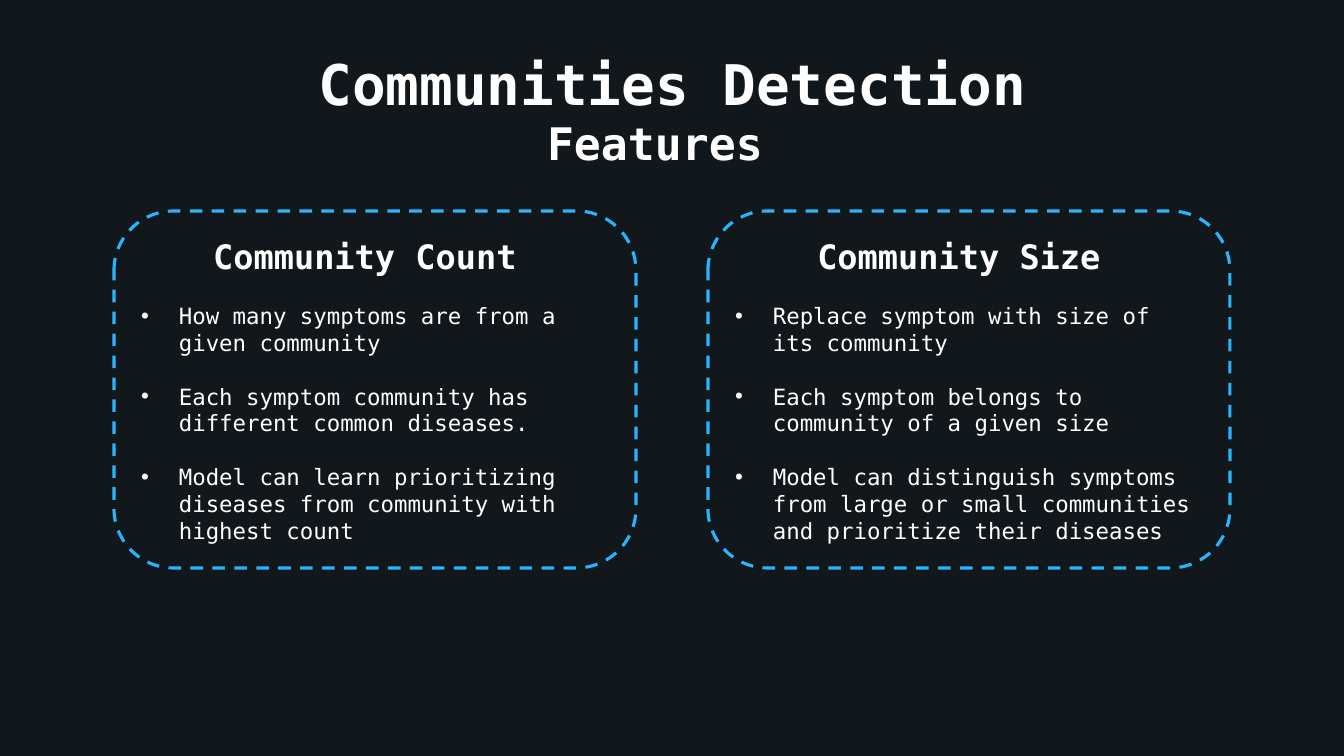
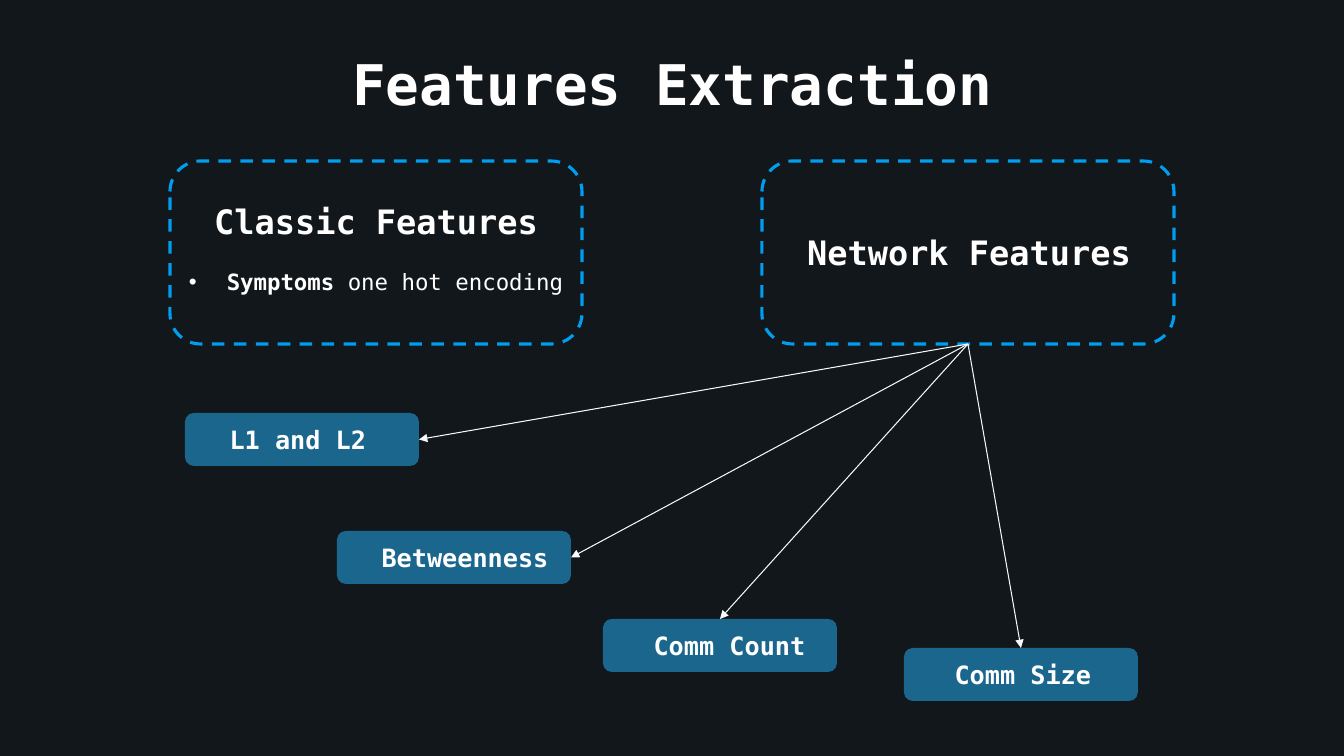
import lxml.etree
import pptx
import pptx.dml.color
import pptx.enum.dml
import pptx.enum.shapes
import pptx.enum.text
import pptx.oxml.ns
import pptx.util

# Shared look
PX = 914400 / 100.8
FONT = "DejaVu Sans Mono"
COLORS = {
    "ground": "12171B", "text": "FFFFFF", "arrow": "F9F9F9",
    "sky": "25B6FF", "azure": "009EEE",
}
TITLE_BOX = (106, 41, 1132, 85)
BULLET_GAP = 19
ALIGN = pptx.enum.text.PP_ALIGN
SHAPE = pptx.enum.shapes.MSO_SHAPE
TOP, BOTTOM, RIGHT = 0, 2, 3  # connection sites of a rounded rectangle

# Content: bullets are (bold lead, plain rest)
SLIDES = [
    {
        "title": "Communities Detection",
        "subtitle": "Features",
        "line": "sky",
        "align": ALIGN.LEFT,
        "cards": [
            {"box": (114, 211, 522, 357), "body": (131, 211, 488, 357),
             "heading": "Community Count ",
             "bullets": [
                 ("", "How many symptoms are from a given community"),
                 ("", "Each symptom community has different common diseases."),
                 ("", "Model can learn prioritizing diseases from community "
                      "with highest count")]},
            {"box": (708, 211, 522, 357), "body": (725, 211, 488, 357),
             "heading": "Community Size ",
             "bullets": [
                 ("", "Replace symptom with size of its community"),
                 ("", "Each symptom belongs to community of a given size"),
                 ("", "Model can distinguish symptoms from large or small "
                      "communities and prioritize their diseases")]},
        ],
    },
    {
        "title": "Features Extraction",
        "line": "azure",
        "align": ALIGN.CENTER,
        "cards": [
            {"box": (170, 161, 412, 183), "body": (149, 190, 454, 116),
             "heading": "Classic Features",
             "bullets": [("Symptoms", " one hot encoding")]},
            {"box": (762, 161, 412, 183), "body": (742, 224, 454, 56),
             "heading": "Network Features", "bullets": []},
        ],
    },
]
SUBTITLE_BOX = (89, 105, 1132, 75)
CHIP_SIZE = (234, 53)
# Network features: label, left, top, text inset, side the arrow reaches
CHIPS = [
    ("L1 and L2", 185, 413, 42, RIGHT),
    ("Betweenness", 337, 531, 42, RIGHT),
    ("Comm Count", 603, 619, 48, TOP),
    ("Comm Size", 904, 648, 48, TOP),
]


def px(n):
    return pptx.util.Emu(round(n * PX))


def rgb(name):
    return pptx.dml.color.RGBColor.from_string(COLORS[name])


def sub(parent, tag, **attrs):
    return lxml.etree.SubElement(parent, pptx.oxml.ns.qn(tag), attrs)


def style(p, size, bold=True, align=ALIGN.CENTER):
    p.alignment = align
    for r in p.runs:
        r.font.name, r.font.size, r.font.bold = FONT, pptx.util.Pt(size), bold
        r.font.color.rgb = rgb("text")


def place(sp, box):
    sp.left, sp.top, sp.width, sp.height = map(px, box)
    tf = sp.text_frame
    tf.word_wrap = True
    tf.auto_size = pptx.enum.text.MSO_AUTO_SIZE.NONE
    tf.vertical_anchor = pptx.enum.text.MSO_ANCHOR.MIDDLE
    return tf


def add_headline(sp, box, text, size):
    tf = place(sp, box)
    tf.margin_top = tf.margin_bottom = px(10)
    tf.text = text
    style(tf.paragraphs[0], size)


def add_card(s, card, line):
    sp = s.shapes.add_shape(SHAPE.ROUNDED_RECTANGLE, *map(px, card["box"]))
    sp.shadow.inherit = False
    sp.fill.background()
    sp.line.color.rgb = rgb(line)
    sp.line.width = pptx.util.Pt(2.25)
    sp.line.dash_style = pptx.enum.dml.MSO_LINE.DASH
    return sp


def fill_body(sp, card, align):
    tf = place(sp, card["body"])
    tf.text = card["heading"]
    p = tf.paragraphs[0]
    pPr = p._p.get_or_add_pPr()
    pPr.set("marL", "0")
    pPr.set("indent", "0")
    sub(pPr, "a:buNone")
    p.space_before = pptx.util.Pt(0)
    style(p, 24)
    for lead, rest in card["bullets"]:
        p = tf.add_paragraph()
        p.space_before = pptx.util.Pt(BULLET_GAP)
        p.text = rest
        style(p, 16, False, align)
        if lead:
            p.text = lead
            p.add_run().text = rest
            style(p, 16, False, align)
            p.runs[0].font.bold = True


def add_chip(s, label, left, top, inset):
    box = (left, top, *CHIP_SIZE)
    sp = s.shapes.add_shape(SHAPE.ROUNDED_RECTANGLE, *map(px, box))
    sp.shadow.inherit = False
    sp.fill.solid()
    sp.fill.fore_color.rgb = rgb("sky")
    srgb = sp._element.spPr.find(".//" + pptx.oxml.ns.qn("a:srgbClr"))
    sub(srgb, "a:alpha", val="50000")
    sp.line.fill.background()
    tf = place(sp, box)
    tf.margin_left, tf.margin_right = px(inset), px(0)
    tf.text = label
    style(tf.paragraphs[0], 18, align=ALIGN.LEFT)
    return sp


def add_arrow(s, card, chip, side):
    c = s.shapes.add_connector(
        pptx.enum.shapes.MSO_CONNECTOR.STRAIGHT, 0, 0, 0, 0)
    c.begin_connect(card, BOTTOM)
    c.end_connect(chip, side)
    c.line.color.rgb = rgb("arrow")
    c.line.width = pptx.util.Pt(0.75)
    sub(c.line._get_or_add_ln(), "a:tailEnd", type="triangle")
    sub(c._element.spPr, "a:effectLst")


def add_slide(prs, data):
    s = prs.slides.add_slide(prs.slide_layouts.get_by_name("Two Content"))
    add_headline(s.shapes.title, TITLE_BOX, data["title"], 40)
    if "subtitle" in data:
        box = s.shapes.add_textbox(*map(px, SUBTITLE_BOX))
        add_headline(box, SUBTITLE_BOX, data["subtitle"], 32)
    cards = []
    for idx, card in enumerate(data["cards"], start=1):
        cards.append(add_card(s, card, data["line"]))
        fill_body(s.placeholders[idx], card, data["align"])
    return s, cards


def main():
    prs = pptx.Presentation()
    prs.slide_width, prs.slide_height = px(1344), px(756)
    ground = prs.slide_master.background.fill
    ground.solid()
    ground.fore_color.rgb = rgb("ground")

    for data in SLIDES:
        s, cards = add_slide(prs, data)

    # Network features fan out from the last card
    for label, left, top, inset, side in CHIPS:
        chip = add_chip(s, label, left, top, inset)
        add_arrow(s, cards[-1], chip, side)

    prs.save("out.pptx")


if __name__ == "__main__":
    main()
